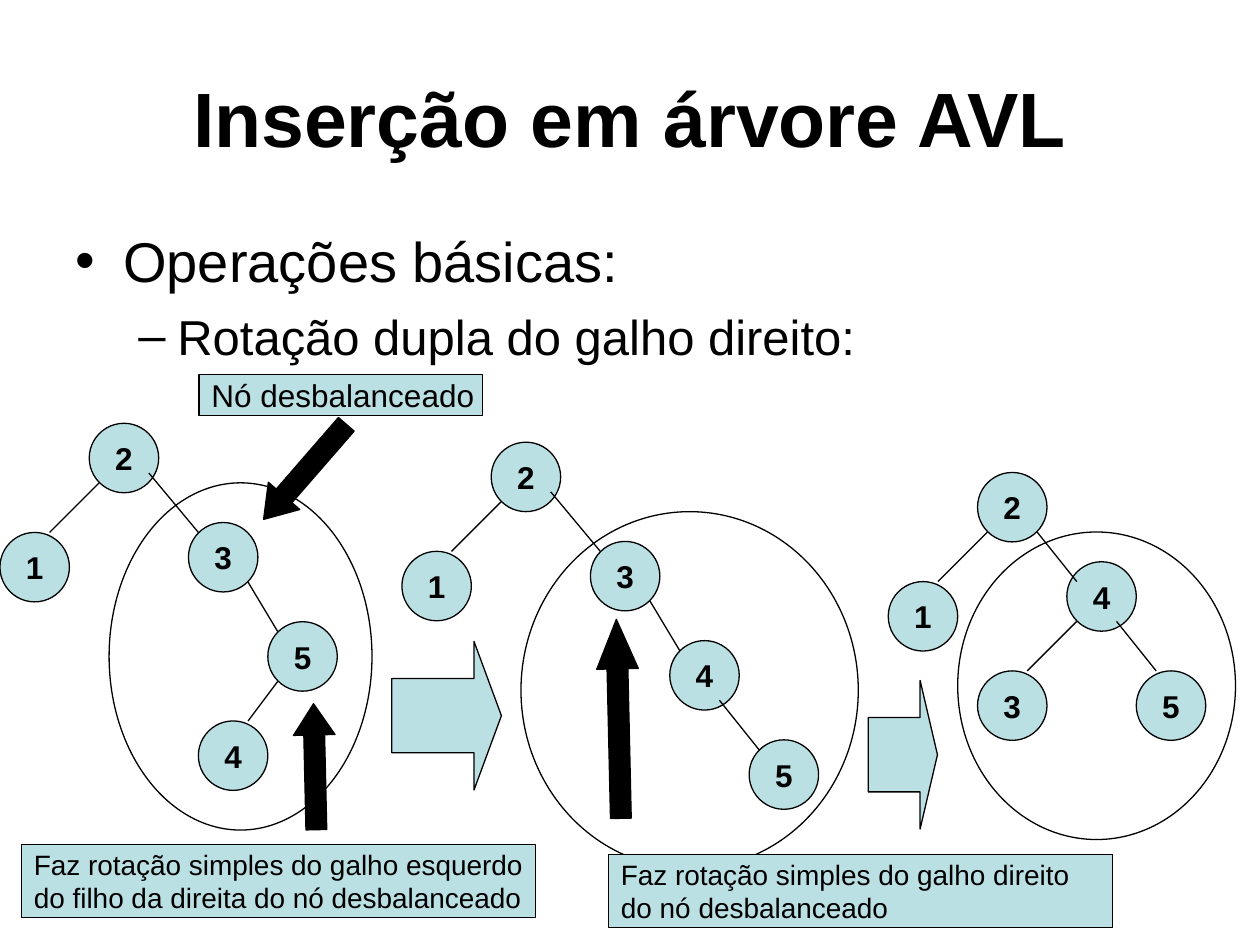
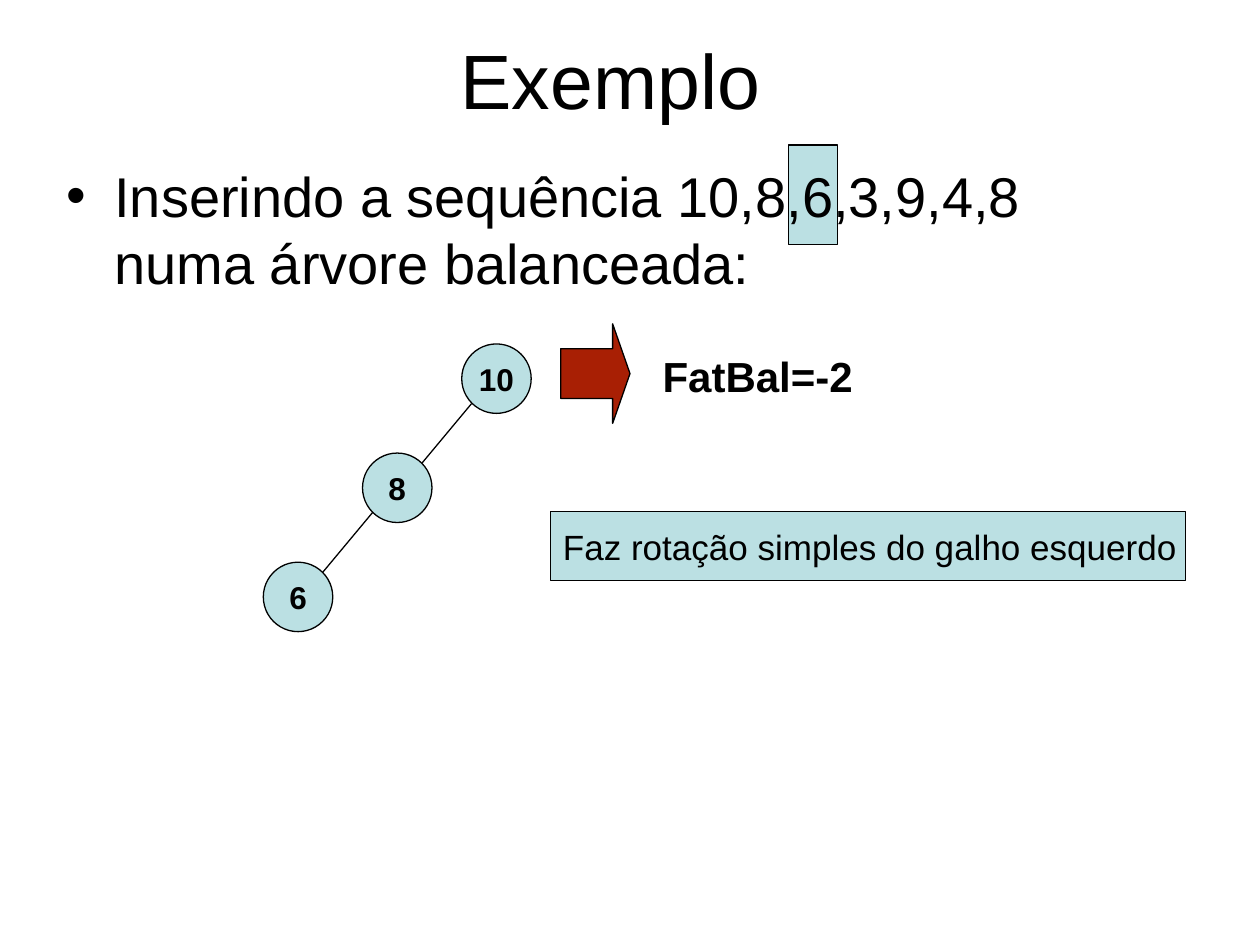
from lxml import etree
from pptx import Presentation
from pptx import util as u
from pptx.dml.color import RGBColor
from pptx.enum import shapes, text
from pptx.oxml.ns import qn

BLACK = RGBColor(0x00, 0x00, 0x00)
PALE_BLUE = RGBColor(0xBB, 0xE0, 0xE3)
RED = RGBColor(0xA8, 0x1F, 0x04)
FONT = "Arial"
GRID = u.Mm(2)  # trees sit on a 2 mm grid
NODE = 7        # node diameter, in grid steps
RECT = shapes.MSO_SHAPE.RECTANGLE
OVAL = shapes.MSO_SHAPE.OVAL
ARROW = shapes.MSO_SHAPE.RIGHT_ARROW
LEFT, CENTER = text.PP_ALIGN.LEFT, text.PP_ALIGN.CENTER

# Bullet level: character, left margin, hanging indent, size, space before
LEVELS = [("•", 0.38, -0.38, 32, 8), ("–", 0.81, -0.31, 28, 7)]

# Edge: parent, child, then start and end as grid steps inside each node
TREES = [
    dict(slide=0, origin=(0, 3.36), ring=(11, 6, 26.5, 35),
         nodes={"2": (9, 0), "1": (0, 11), "3": (19, 10), "5": (27, 20), "4": (20, 30)},
         edges=[("2", "1", (1, 6), (5, 0)), ("2", "3", (6, 5), (1, 1)),
                ("3", "5", (6, 6), (1, 1)), ("5", "4", (1, 6), (5, 0))]),
    dict(slide=0, origin=(3.19, 3.51), ring=(12, 7, 34, 36),
         nodes={"2": (9, 0), "1": (0, 11), "3": (19, 10), "4": (27, 20), "5": (35, 30)},
         edges=[("2", "1", (1, 6), (5, 0)), ("2", "3", (6, 5), (1, 1)),
                ("3", "4", (6, 6), (1, 1)), ("4", "5", (5, 6), (1, 1))]),
    dict(slide=0, origin=(7.05, 3.75), ring=(7, 6, 28, 31),
         nodes={"2": (9, 0), "1": (0, 11), "4": (18, 9), "3": (9, 20), "5": (25, 20)},
         edges=[("2", "1", (1, 6), (5, 0)), ("2", "4", (6, 6), (1, 2)),
                ("4", "3", (1, 6), (5, 0)), ("4", "5", (5, 6), (2, 0))]),
    dict(slide=1, origin=(2.09, 2.73), ring=None,
         nodes={"10": (20, 0), "8": (10, 11), "6": (0, 22)},
         edges=[("10", "8", (1, 6), (6, 1)), ("8", "6", (1, 6), (6, 1))]),
]


def add_outlined(s, kind, box, fill=None):
    sp = s.shapes.add_shape(kind, *[u.Emu(int(v)) for v in box])
    sp.shadow.inherit = False
    if fill is None:
        sp.fill.background()
    else:
        sp.fill.solid()
        sp.fill.fore_color.rgb = fill
    sp.line.color.rgb = BLACK
    sp.line.width = u.Pt(0.75)
    return sp


def write(tf, lines, size, bold=False, align=LEFT):
    tf.text = "\n".join(lines)
    for p in tf.paragraphs:
        p.alignment = align
        for r in p.runs:
            r.font.name, r.font.size, r.font.bold = FONT, u.Pt(size), bold
            r.font.color.rgb = BLACK


prs = Presentation()
prs.slide_width, prs.slide_height = u.Inches(10), u.Inches(7.5)
title_only = prs.slide_layouts[5]

# Titles and bulleted text
headings = [
    ("Inserção em árvore AVL", True, (0.5, 0.3), (0.5, 1.75),
     ["Operações básicas:", "Rotação dupla do galho direito:"]),
    ("Exemplo ", False, (0.43, 0), (0.43, 1.23),
     ["Inserindo a sequência 10,8,6,3,9,4,8 numa árvore balanceada:"]),
]
for title, bold, title_at, body_at, bullets in headings:
    s = prs.slides.add_slide(title_only)
    sp = s.shapes.title
    sp.left, sp.top = map(u.Inches, title_at)
    sp.width, sp.height = u.Inches(9), u.Inches(1.25)
    write(sp.text_frame, [title], 44, bold, CENTER)
    sp.text_frame.vertical_anchor = text.MSO_ANCHOR.MIDDLE
    if title.startswith("Exemplo"):  # highlight behind the inserted key
        add_outlined(s, RECT, map(u.Inches, (6.26, 1.15, 0.39, 0.79)), PALE_BLUE)
    tf = s.shapes.add_textbox(*map(u.Inches, (*body_at, 9, 4.95))).text_frame
    tf.word_wrap = True
    write(tf, bullets, 32)
    for p, (char, margin, indent, size, before) in zip(tf.paragraphs, LEVELS):
        p.space_before = u.Pt(before)
        p.runs[0].font.size = u.Pt(size)
        pPr = p._p.get_or_add_pPr()
        pPr.set("marL", str(u.Inches(margin)))
        pPr.set("indent", str(u.Inches(indent)))
        etree.SubElement(pPr, qn("a:buFont")).set("typeface", FONT)
        etree.SubElement(pPr, qn("a:buChar")).set("char", char)

# Trees: nodes, edges, and the ring around the rotated branch
for tree in TREES:
    s = prs.slides[tree["slide"]]
    x0, y0 = map(u.Inches, tree["origin"])
    nodes = tree["nodes"]
    for key, (col, row) in nodes.items():
        box = (x0 + col * GRID, y0 + row * GRID, NODE * GRID, NODE * GRID)
        tf = add_outlined(s, OVAL, box, PALE_BLUE).text_frame
        write(tf, [key], 18, True, CENTER)
        tf.word_wrap = False
        tf.vertical_anchor = text.MSO_ANCHOR.MIDDLE
    for parent, child, start, end in tree["edges"]:
        ends = []
        for key, (dx, dy) in ((parent, start), (child, end)):
            col, row = nodes[key]
            ends += [x0 + (col + dx) * GRID, y0 + (row + dy) * GRID]
        line = s.shapes.add_connector(shapes.MSO_CONNECTOR.STRAIGHT, *ends)
        line.line.color.rgb = BLACK
        line.line.width = u.Pt(0.75)
        etree.SubElement(line._element.spPr, qn("a:effectLst"))
    if tree["ring"]:
        col, row, w, h = tree["ring"]
        add_outlined(s, OVAL, (x0 + col * GRID, y0 + row * GRID, w * GRID, h * GRID))

# Labels
labels = [
    (0, (0.17, 6.7, 4.08, 0.58), 16,
     ["Faz rotação simples do galho esquerdo", "do filho da direita do nó desbalanceado"]),
    (0, (1.58, 2.97, 2.25, 0.33), 18, ["Nó desbalanceado"]),
    (0, (4.83, 6.78, 4, 0.58), 16,
     ["Faz rotação simples do galho direito", "do nó desbalanceado"]),
    (1, (4.37, 4.06, 5.04, 0.55), 20, ["Faz rotação simples do galho esquerdo"]),
]
for page, box, size, lines in labels:
    tf = add_outlined(prs.slides[page], RECT, map(u.Inches, box), PALE_BLUE).text_frame
    write(tf, lines, size)
    tf.word_wrap = True
    tf.margin_right = tf.margin_top = tf.margin_bottom = 0
    tf.vertical_anchor = text.MSO_ANCHOR.MIDDLE

# Arrows: slide, box, fill, rotation, head length
arrows = [
    (0, (3.11, 5.09, 0.87, 1.18), PALE_BLUE, 0, 0.25),
    (0, (6.89, 5.4, 0.55, 1.18), PALE_BLUE, 0, 0.25),
    (0, (1.92, 3.58, 1, 0.33), BLACK, 131, 0.75),
    (0, (2, 5.92, 1, 0.33), BLACK, 268.7, 0.75),
    (0, (4.12, 5.54, 1.58, 0.33), BLACK, 268.7, 1.19),
    (1, (4.45, 2.57, 0.55, 0.79), RED, 0, 0.25),
]
for page, box, fill, rotation, head in arrows:
    sp = add_outlined(prs.slides[page], ARROW, map(u.Inches, box), fill)
    sp.rotation = rotation
    sp.adjustments[0], sp.adjustments[1] = 0.5, head

balance = prs.slides[1].shapes.add_textbox(*map(u.Inches, (5.16, 2.73, 1.71, 0.5)))
write(balance.text_frame, ["FatBal=-2"], 24, True)

prs.save("out.pptx")
